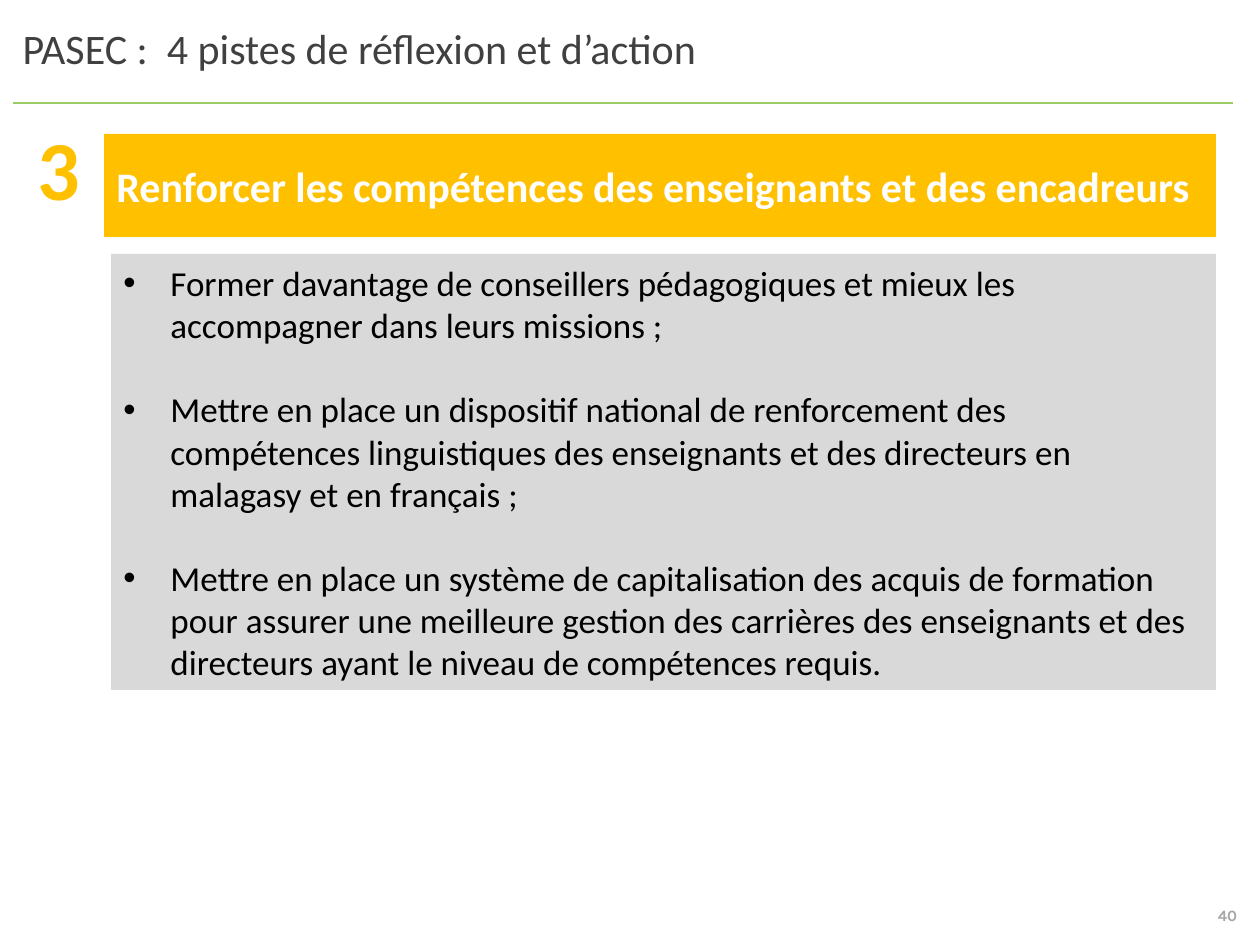
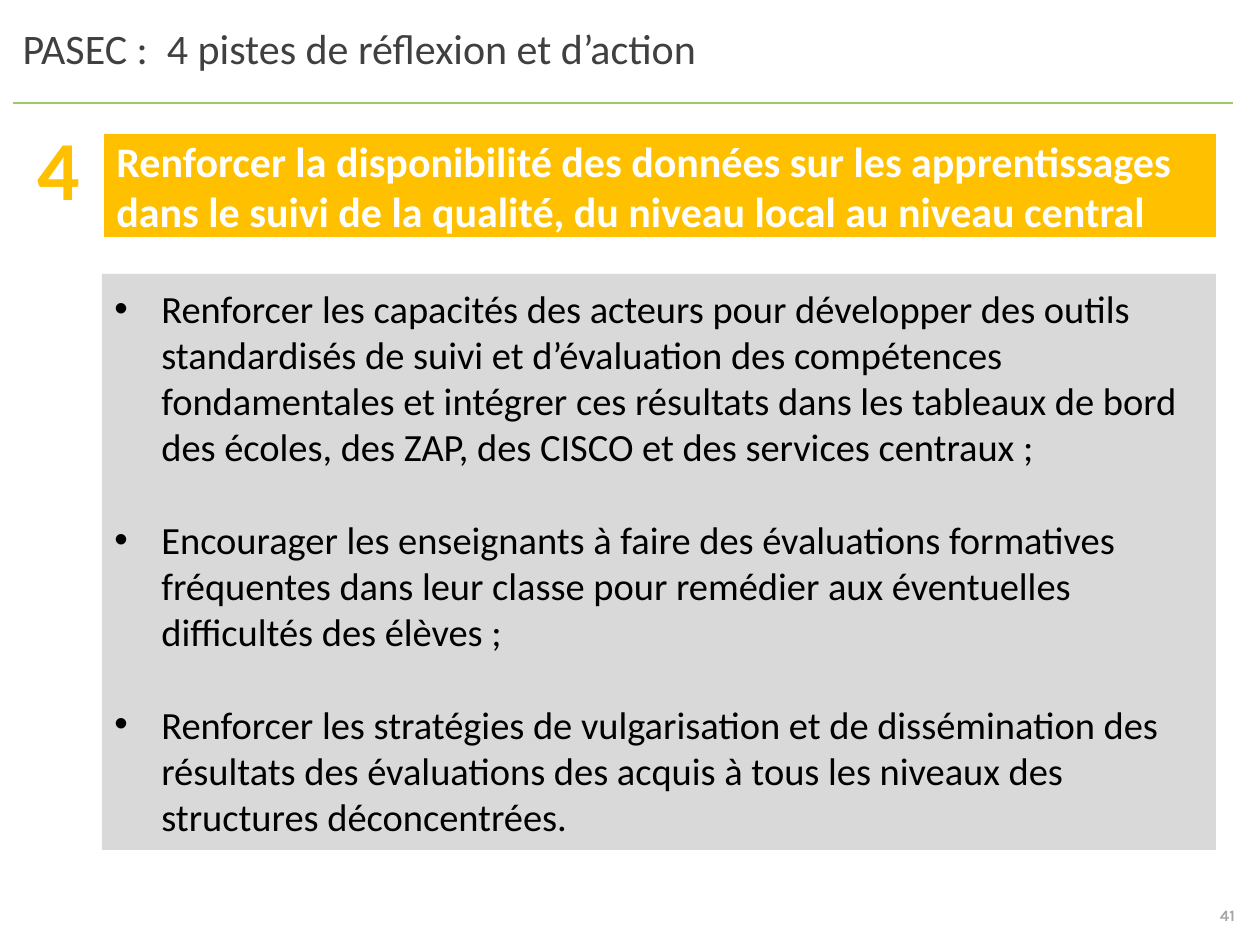
import pptx
import pptx.dml.color
import pptx.enum.shapes
import pptx.enum.text
import pptx.util
from lxml import etree
from pptx.oxml.ns import qn

PX = 914400 / 126
COLORS = {
    "banner": "FFC000",
    "panel": "D9D9D9",
    "rule": "9ACB64",
    "title": "404040",
    "body": "000000",
    "white": "FFFFFF",
    "page": "A6A6A6",
}
TITLE = "PASEC :  4 pistes de réflexion et d’action"
INDENT = 47
LINE_HEIGHT = 1.2
ALIGN = pptx.enum.text.PP_ALIGN
ANCHOR = pptx.enum.text.MSO_ANCHOR

tracks = [
    {
        "page": "40",
        "number": "3",
        "heading": "Renforcer les compétences des enseignants et des encadreurs",
        "panel": (111, 254, 1105, 436),
        "size": 20,
        "actions": [
            "Former davantage de conseillers pédagogiques et mieux les accompagner dans leurs missions ;",
            "Mettre en place un dispositif national de renforcement des compétences linguistiques "
            "des enseignants et des directeurs en malagasy et en français ;",
            "Mettre en place un système de capitalisation des acquis de formation pour assurer une "
            "meilleure gestion des carrières des enseignants et des directeurs ayant le niveau de "
            "compétences requis.",
        ],
    },
    {
        "page": "41",
        "number": "4",
        "heading": "Renforcer la disponibilité des données sur les apprentissages dans le suivi "
                   "de la qualité, du niveau local au niveau central",
        "panel": (102, 274, 1114, 576),
        "size": 22,
        "actions": [
            "Renforcer les capacités des acteurs pour développer des outils standardisés de suivi et "
            "d’évaluation des compétences fondamentales et intégrer ces résultats dans les tableaux "
            "de bord des écoles, des ZAP, des CISCO et des services centraux ;",
            "Encourager les enseignants à faire des évaluations formatives fréquentes dans leur "
            "classe pour remédier aux éventuelles difficultés des élèves ;",
            "Renforcer les stratégies de vulgarisation et de dissémination des résultats des "
            "évaluations des acquis à tous les niveaux des structures déconcentrées.",
        ],
    },
]


def emu(*lengths):
    """Turn px lengths into a list of EMU."""
    return [pptx.util.Emu(round(length * PX)) for length in lengths]


def write(box, texts, size, color, bold=False, font="Calibri", align=ALIGN.LEFT,
          anchor=ANCHOR.TOP, wrap=True):
    """Fill a shape with one paragraph per text and return the paragraphs."""
    frame = box.text_frame
    frame.word_wrap = wrap
    frame.auto_size = pptx.enum.text.MSO_AUTO_SIZE.NONE
    frame.vertical_anchor = anchor
    for index, text in enumerate(texts):
        para = frame.add_paragraph() if index else frame.paragraphs[0]
        para.alignment = align
        span = para.add_run()
        span.text = text
        span.font.name = font
        span.font.size = pptx.util.Pt(size)
        span.font.bold = bold
        span.font.color.rgb = pptx.dml.color.RGBColor.from_string(COLORS[color])
    return frame.paragraphs


deck = pptx.Presentation()
deck.slide_width, deck.slide_height = emu(1260, 945)
title_only = deck.slide_layouts[5]

for track in tracks:
    slide = deck.slides.add_slide(title_only)
    shapes = slide.shapes

    title = shapes.title
    title.left, title.top, title.width, title.height = emu(10, 16, 1240, 63)
    write(title, [TITLE], 24, "title", align=ALIGN.JUSTIFY)

    rule = shapes.add_connector(pptx.enum.shapes.MSO_CONNECTOR.STRAIGHT, *emu(13, 103, 1233, 103))
    rule.line.color.rgb = pptx.dml.color.RGBColor.from_string(COLORS["rule"])
    rule.line.width = pptx.util.Pt(0.75)
    etree.SubElement(rule._element.spPr, qn("a:effectLst"))

    blocks = {}
    for name, place in (("banner", (104, 134, 1112, 103)), ("panel", track["panel"])):
        block = shapes.add_shape(pptx.enum.shapes.MSO_SHAPE.RECTANGLE, *emu(*place))
        block.shadow.inherit = False
        block.fill.solid()
        block.fill.fore_color.rgb = pptx.dml.color.RGBColor.from_string(COLORS[name])
        block.line.fill.background()
        blocks[name] = block

    write(blocks["banner"], [track["heading"]], 24, "white", bold=True, anchor=ANCHOR.MIDDLE)
    paras = write(blocks["panel"], track["actions"], track["size"], "body", anchor=ANCHOR.MIDDLE)
    for index, para in enumerate(paras):
        if index:
            para.space_before = pptx.util.Pt(track["size"] * LINE_HEIGHT)
        properties = para._p.get_or_add_pPr()
        indent, = emu(INDENT)
        properties.set("marL", str(indent))
        properties.set("indent", str(-indent))
        etree.SubElement(properties, qn("a:buFont"), typeface="Arial")
        etree.SubElement(properties, qn("a:buChar"), char="•")

    number = shapes.add_textbox(*emu(25, 110, 68, 115))
    write(number, [track["number"]], 48, "banner", bold=True, wrap=False)

    page = shapes.add_textbox(*emu(1201, 900, 53, 31))
    write(page, [track["page"]], 9, "page", bold=True, font="Karla", align=ALIGN.CENTER)

deck.save("out.pptx")
